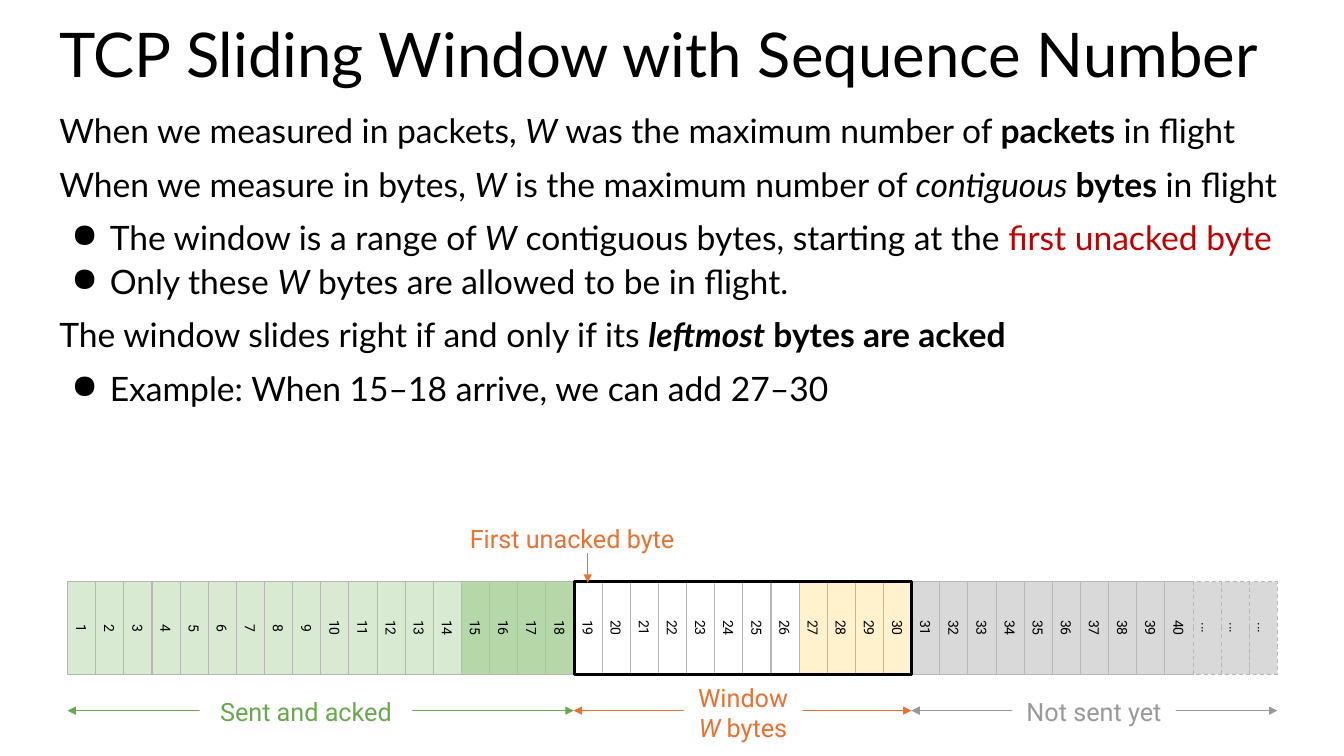
from lxml.etree import SubElement
from pptx import Presentation
from pptx.dml.color import RGBColor
from pptx.enum.dml import MSO_LINE
from pptx.enum.shapes import MSO_CONNECTOR, MSO_SHAPE
from pptx.enum.text import MSO_ANCHOR, PP_ALIGN
from pptx.oxml.ns import qn
from pptx.util import Pt

PX = 9144  # 100 px to the inch
BLACK = RGBColor(0x00, 0x00, 0x00)
WHITE = RGBColor(0xFF, 0xFF, 0xFF)
RED = RGBColor(0xC0, 0x00, 0x00)
ORANGE = RGBColor(0xE9, 0x71, 0x32)
GREEN = RGBColor(0x6A, 0xA8, 0x4F)
GRAY = RGBColor(0x99, 0x99, 0x99)
ACKED = RGBColor(0xD9, 0xEA, 0xD3)
JUST_ACKED = RGBColor(0xB6, 0xD7, 0xA8)
ADDED = RGBColor(0xFF, 0xF2, 0xCC)
UNSENT = RGBColor(0xD9, 0xD9, 0xD9)
CELL_LINE = RGBColor(0xB7, 0xB7, 0xB7)

ROW_LEFT, ROW_WIDTH, ROW_MIDDLE, ROW_HEIGHT = 67, 1200, 623, 92
CELLS = 43
PITCH = ROW_WIDTH / CELLS

prs = Presentation()
prs.slide_width, prs.slide_height = 1333 * PX, 750 * PX
s = prs.slides.add_slide(prs.slide_layouts[6])


def write(sp, paragraphs, size, font, color, inset=10, align=PP_ALIGN.LEFT, anchor=MSO_ANCHOR.TOP):
    """Fill a shape with paragraphs, each a list of (text, style) runs: b bold, i italic, r red."""
    tf = sp.text_frame
    tf.word_wrap = True
    tf.vertical_anchor = anchor
    tf.margin_left = tf.margin_right = tf.margin_top = tf.margin_bottom = inset * PX
    for n, runs in enumerate(paragraphs):
        p = tf.add_paragraph() if n else tf.paragraphs[0]
        p.alignment = align
        for text, style in runs:
            r = p.add_run()
            r.text = text
            r.font.size, r.font.name = Pt(size), font
            r.font.bold, r.font.italic = "b" in style, "i" in style
            r.font.color.rgb = RED if "r" in style else color


def add_column(first, count, fill, line, weight):
    """Add a rectangle turned by 90 degrees that covers some cells of the byte row."""
    width = count * PITCH
    center = ROW_LEFT + first * PITCH + width / 2
    sp = s.shapes.add_shape(
        MSO_SHAPE.RECTANGLE, round((center - ROW_HEIGHT / 2) * PX),
        round((ROW_MIDDLE - width / 2) * PX), ROW_HEIGHT * PX, round(width * PX))
    sp.rotation = 90
    sp.shadow.inherit = False
    if fill is None:
        sp.fill.background()
    else:
        sp.fill.solid()
        sp.fill.fore_color.rgb = fill
    sp.line.color.rgb, sp.line.width = line, Pt(weight)
    return sp


# Title
title = s.shapes.add_textbox(49 * PX, 14 * PX, 1235 * PX, 90 * PX)
write(title, [[("TCP Sliding Window with Sequence Number", "")]], 44, "Lato", BLACK)
title.text_frame.paragraphs[0].line_spacing = 0.9

# Body: (bulleted, space before, runs)
body_lines = [
    (False, 0, [("When we measured in packets, ", ""), ("W", "i"),
                (" was the maximum number of ", ""), ("packets", "b"), (" in flight", "")]),
    (False, 6, [("When we measure in bytes, ", ""), ("W", "i"), (" is the maximum number of ", ""),
                ("contiguous ", "i"), ("bytes", "b"), (" in flight", "")]),
    (True, 6, [("The window is a range of ", ""), ("W", "i"),
               (" contiguous bytes, starting at the ", ""), ("first unacked byte", "r")]),
    (True, 0, [("Only these ", ""), ("W", "i"), (" bytes are allowed to be in flight.", "")]),
    (False, 6, [("The window slides right if and only if its ", ""), ("leftmost", "bi"),
                (" bytes are acked", "b")]),
    (True, 6, [("Example: When 15–18 arrive, we can add 27–30", "")]),
]
body = s.shapes.add_textbox(49 * PX, 104 * PX, 1235 * PX, 313 * PX)
write(body, [runs for _, _, runs in body_lines], 24, "Lato", BLACK)
for p, (bulleted, before, _) in zip(body.text_frame.paragraphs, body_lines):
    if bulleted:
        pPr = p._p.get_or_add_pPr()
        pPr.set("marL", str(50 * PX))
        pPr.set("indent", str(-38 * PX))
        SubElement(pPr, qn("a:buChar")).set("char", "●")
    p.line_spacing = 0.9
    p.space_before, p.space_after = Pt(before), Pt(6)

# Row of bytes: (number of cells, fill)
groups = [(14, ACKED), (4, JUST_ACKED), (8, None), (4, ADDED), (13, UNSENT)]
fills = [fill for count, fill in groups for _ in range(count)]
for i, fill in enumerate(fills):
    cell = add_column(i, 1, fill, CELL_LINE, 0.75)
    numbered = i < 40
    if not numbered:
        cell.line.dash_style = MSO_LINE.DASH
    write(cell, [[(str(i + 1) if numbered else "...", "")]], 10, "Roboto", BLACK,
          align=PP_ALIGN.CENTER, anchor=MSO_ANCHOR.MIDDLE)

# Window frame around bytes 19 to 30
add_column(18, 12, None, BLACK, 2.25)

# Arrows: from, to, colour, arrowheads
arrows = [
    (67, 705, 569, 705, GREEN, ("headEnd", "tailEnd")),
    (904, 705, 1267, 705, GRAY, ("headEnd", "tailEnd")),
    (569, 705, 904, 705, ORANGE, ("headEnd", "tailEnd")),
    (583, 578, 583, 549, ORANGE, ("headEnd",)),
]
for x1, y1, x2, y2, color, ends in arrows:
    arrow = s.shapes.add_connector(MSO_CONNECTOR.STRAIGHT, x1 * PX, y1 * PX, x2 * PX, y2 * PX)
    arrow.line.color.rgb, arrow.line.width = color, Pt(0.75)
    for end in ends:
        SubElement(arrow.line._get_or_add_ln(), qn("a:" + end)).set("type", "triangle")
    SubElement(arrow._element.spPr, qn("a:effectLst"))

# Labels that interrupt the arrows
labels = [
    (198, 688, 211, 33, GREEN, [[("Sent and acked", "")]]),
    (1004, 688, 162, 33, GRAY, [[("Not sent yet", "")]]),
    (678, 674, 118, 63, ORANGE, [[("Window", "")], [("W", "i"), (" bytes", "")]]),
]
for x, y, w, h, color, paragraphs in labels:
    label = s.shapes.add_shape(MSO_SHAPE.RECTANGLE, x * PX, y * PX, w * PX, h * PX)
    label.shadow.inherit = False
    label.fill.solid()
    label.fill.fore_color.rgb = WHITE
    label.line.fill.background()
    write(label, paragraphs, 18, "Roboto", color, inset=3, align=PP_ALIGN.CENTER)

# Pointer label
pointer = s.shapes.add_textbox(463 * PX, 516 * PX, 240 * PX, 33 * PX)
write(pointer, [[("First unacked byte", "")]], 18, "Roboto", ORANGE, inset=3)

prs.save("out.pptx")
